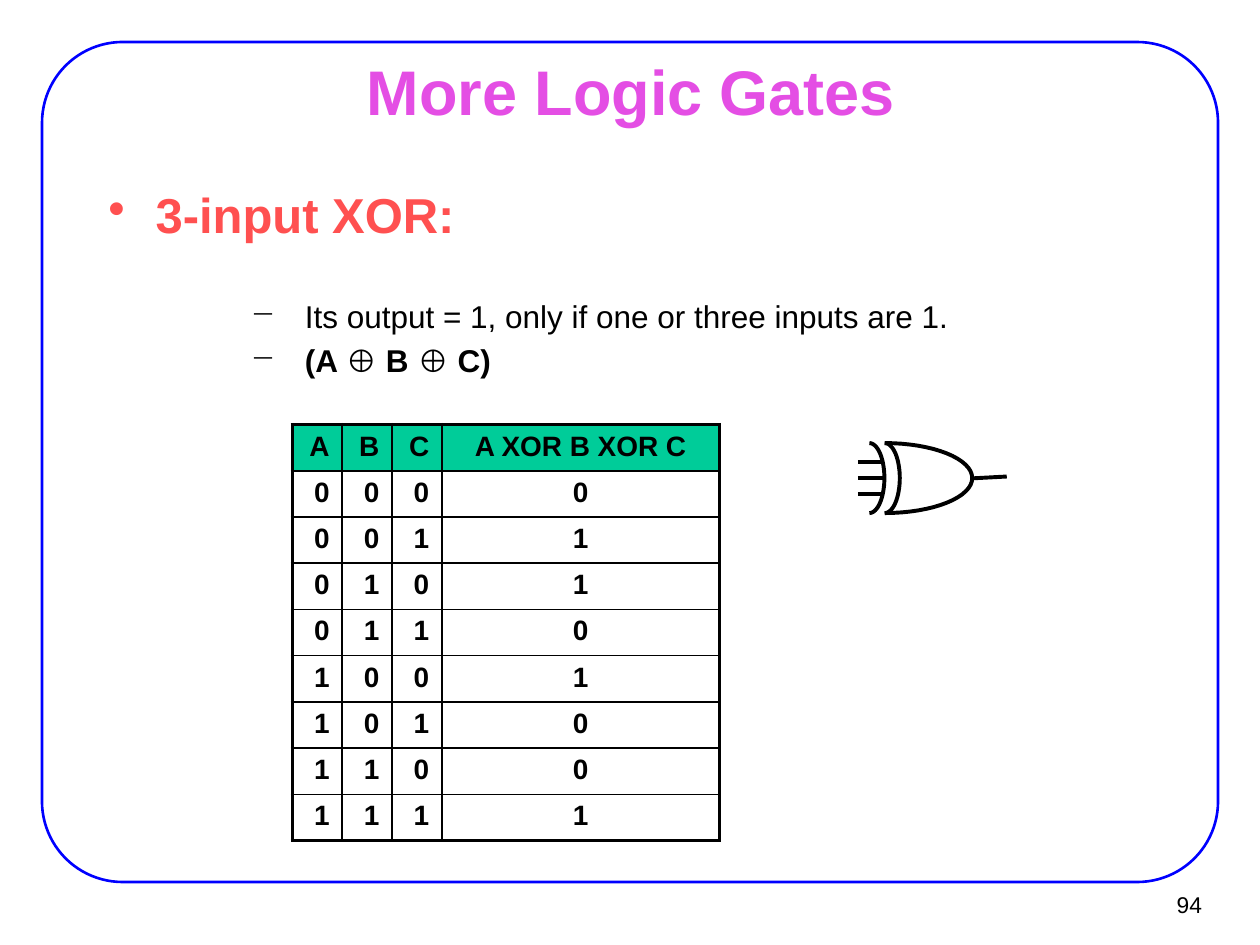
from itertools import product
from math import cos, pi, sin

from lxml.etree import SubElement
from pptx import Presentation
from pptx.dml.color import RGBColor
from pptx.enum.shapes import MSO_CONNECTOR, MSO_SHAPE
from pptx.enum.text import MSO_ANCHOR, PP_ALIGN
from pptx.oxml.ns import qn
from pptx.util import Pt

FONT = "Arial"
COLORS = {
    "frame": "0000FF",
    "title": "E44EE4",
    "heading": "FF5050",
    "header": "00CC99",
    "ink": "000000",
}
THIN, THICK = 1, 2.25


def color(name):
    return RGBColor.from_string(COLORS[name])


def style_font(font, size, color_name="ink", bold=False):
    font.name, font.size, font.bold = FONT, Pt(size), bold
    font.color.rgb = color(color_name)


def set_insets(text_frame, horizontal, top, bottom):
    text_frame.margin_left = text_frame.margin_right = Pt(horizontal)
    text_frame.margin_top, text_frame.margin_bottom = Pt(top), Pt(bottom)


def add_frame(slide):
    frame = slide.shapes.add_shape(
        MSO_SHAPE.ROUNDED_RECTANGLE, Pt(24), Pt(24), Pt(672), Pt(480))
    frame.adjustments[0] = 0.096
    frame.shadow.inherit = False
    frame.fill.background()
    frame.line.color.rgb = color("frame")
    frame.line.width = Pt(1.5)


def format_title(slide, text):
    title = slide.shapes.title
    title.left, title.top, title.width, title.height = Pt(54.7), Pt(31.7), Pt(612), Pt(35.3)
    text_frame = title.text_frame
    text_frame.text = text
    text_frame.vertical_anchor = MSO_ANCHOR.MIDDLE
    set_insets(text_frame, 7.9, 6.5, 2)
    paragraph = text_frame.paragraphs[0]
    paragraph.alignment = PP_ALIGN.CENTER
    style_font(paragraph.runs[0].font, 36, "title", True)


def add_page_number(slide, number):
    box = slide.shapes.add_textbox(Pt(649.4), Pt(503.3), Pt(43.9), Pt(26.6))
    text_frame = box.text_frame
    text_frame.text = number
    text_frame.word_wrap = False
    text_frame.vertical_anchor = MSO_ANCHOR.MIDDLE
    set_insets(text_frame, 6.5, 3, 3)
    paragraph = text_frame.paragraphs[0]
    paragraph.alignment = PP_ALIGN.RIGHT
    style_font(paragraph.runs[0].font, 13)


def set_bullet(paragraph, character, margin, hanging):
    properties = paragraph._p.get_or_add_pPr()
    properties.set("marL", str(Pt(margin)))
    properties.set("indent", str(-Pt(hanging)))
    SubElement(properties, qn("a:buChar"), char=character)


def add_body(slide):
    box = slide.shapes.add_textbox(Pt(54), Pt(95.8), Pt(612), Pt(365.8))
    text_frame = box.text_frame
    text_frame.word_wrap = True
    set_insets(text_frame, 7.9, 9.9, 4.3)

    heading = text_frame.paragraphs[0]
    heading.text = "3-input XOR:"
    set_bullet(heading, "•", 27, 27)
    style_font(heading.runs[0].font, 28, "heading", True)

    details = [
        (30.4, [("Its output = 1, only if one or three inputs are 1.", False)]),
        (3.6, [("(A ", True), ("⊕", False), (" B ", True), ("⊕", False), (" C)", True)]),
    ]
    for space_before, pieces in details:
        paragraph = text_frame.add_paragraph()
        paragraph.level = 2
        set_bullet(paragraph, "−", 112.3, 31)
        paragraph.space_before = Pt(space_before)
        for text, bold in pieces:
            run = paragraph.add_run()
            run.text = text
            style_font(run.font, 18, bold=bold)


def set_borders(cell, widths):
    """Draw the cell borders; widths are left, right, top, bottom."""
    properties = cell._tc.get_or_add_tcPr()
    for side, width in zip("LRTB", widths):
        line = SubElement(properties, qn(f"a:ln{side}"), w=str(Pt(width)))
        fill = SubElement(line, qn("a:solidFill"))
        SubElement(fill, qn("a:srgbClr"), val=COLORS["ink"])


def add_truth_table(slide):
    rows = [("A", "B", "C", "A XOR B XOR C")]
    rows += [(a, b, c, a ^ b ^ c) for a, b, c in product((0, 1), repeat=3)]
    column_widths = [28.5, 28.5, 28.5, 158.6]
    last_row, last_column = len(rows) - 1, len(column_widths) - 1
    row_height = 26.4
    table = slide.shapes.add_table(
        len(rows), len(column_widths), Pt(167), Pt(242.6),
        Pt(sum(column_widths)), Pt(row_height * len(rows))).table
    table.first_row = table.horz_banding = False
    for column, width in zip(table.columns, column_widths):
        column.width = Pt(width)
    for i, values in enumerate(rows):
        table.rows[i].height = Pt(row_height)
        for j, value in enumerate(values):
            cell = table.cell(i, j)
            edges = (j == 0, j == last_column, i == 0, i == last_row)
            set_borders(cell, [THICK if edge else THIN for edge in edges])
            if i == 0:
                cell.fill.solid()
                cell.fill.fore_color.rgb = color("header")
            else:
                cell.fill.background()
            set_insets(cell, 7.2, 3.6, 3.6)
            cell.text_frame.text = str(value)
            paragraph = cell.text_frame.paragraphs[0]
            paragraph.alignment = PP_ALIGN.CENTER if j == last_column else PP_ALIGN.RIGHT
            style_font(paragraph.runs[0].font, 16, bold=True)


def style_stroke(line):
    line.color.rgb = color("ink")
    line.width = Pt(THICK)


def add_wire(slide, x1, y1, x2, y2):
    wire = slide.shapes.add_connector(
        MSO_CONNECTOR.STRAIGHT, Pt(x1), Pt(y1), Pt(x2), Pt(y2))
    style_stroke(wire.line)
    SubElement(wire._element.spPr, qn("a:effectLst"))


def add_half_ellipse(slide, x, center_y, radius_x, radius_y, steps=32):
    """Draw the open right half of an ellipse centred on (x, center_y)."""
    angles = [pi * step / steps - pi / 2 for step in range(steps + 1)]
    points = [(Pt(x + radius_x * cos(angle)), Pt(center_y + radius_y * sin(angle)))
              for angle in angles]
    builder = slide.shapes.build_freeform(*points[0])
    builder.add_line_segments(points[1:], close=False)
    curve = builder.convert_to_shape()
    curve.shadow.inherit = False
    curve.fill.background()
    style_stroke(curve.line)


def add_xor_gate(slide):
    center_y = 273.2
    for offset in (-9, 0, 9):
        add_wire(slide, 490.3, center_y + offset, 504.5, center_y + offset)
    for x, radius_x in ((496.8, 8.6), (505.6, 8.6), (505.6, 50)):
        add_half_ellipse(slide, x, center_y, radius_x, 20)
    add_wire(slide, 555.1, 273.4, 575.3, 272.3)


def main():
    presentation = Presentation()
    presentation.slide_width, presentation.slide_height = Pt(720), Pt(540)
    slide = presentation.slides.add_slide(presentation.slide_layouts[5])
    add_frame(slide)
    format_title(slide, "More Logic Gates")
    add_page_number(slide, "94")
    add_body(slide)
    add_truth_table(slide)
    add_xor_gate(slide)
    presentation.save("out.pptx")


if __name__ == "__main__":
    main()
